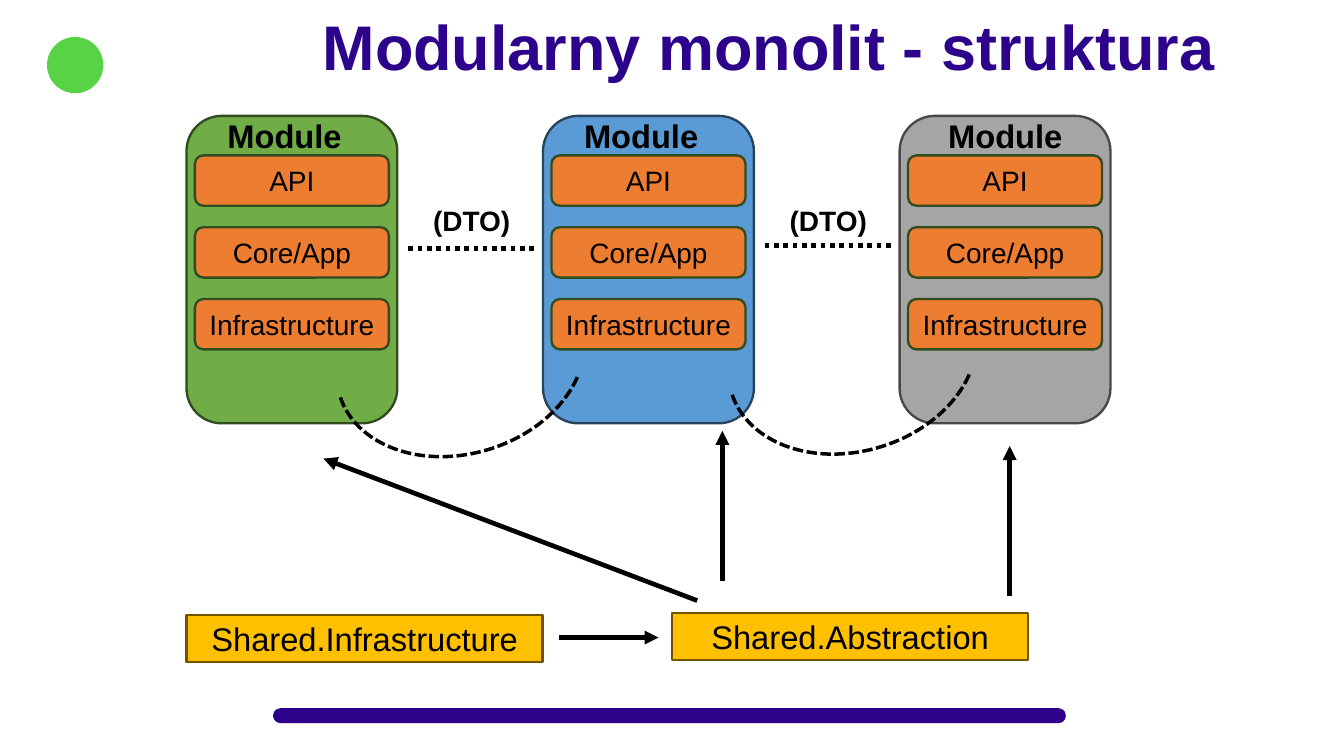
"""Builds a slide on the structure of a modular monolith."""
import pptx
import pptx.util
import pptx.dml.color
import pptx.enum.dml
import pptx.enum.shapes
import pptx.enum.text
import pptx.oxml
import pptx.oxml.ns
import lxml.etree

INKS = {
    "title": "2E038C", "text": "000000", "badge": "58D346",
    "green": "70AD47", "moss": "314C1F",
    "blue": "5B9BD5", "navy": "28445D",
    "gray": "A5A5A5", "slate": "484848",
    "layer": "ED7D31", "gold": "FFC000", "brown": "705400",
}
WIDE, HIGH = pptx.util.Inches(16), pptx.util.Inches(9)
COL, ROW = WIDE / 16, HIGH / 9
FORMS = pptx.enum.shapes.MSO_SHAPE
DASH = pptx.enum.dml.MSO_LINE
ALIGN = pptx.enum.text.PP_ALIGN
ANCHOR = pptx.enum.text.MSO_ANCHOR


def place(box):
    """Turn a box in columns and rows into slide lengths."""
    left, top, wide, high = box
    return [round(n) for n in (left * COL, top * ROW, wide * COL, high * ROW)]


def ink(name):
    """Look up a colour."""
    return pptx.dml.color.RGBColor.from_string(INKS[name])


def write(shape, text, size, align, bold=False, color="text"):
    """Fill a shape with one styled line of text."""
    shape.text_frame.text = text
    line = shape.text_frame.paragraphs[0]
    line.alignment = align
    line.font.name = "Arial"
    line.font.size = pptx.util.Pt(size)
    line.font.bold = bold
    line.font.color.rgb = ink(color)


def stroke(line, color, size, dash=None):
    """Style an outline."""
    line.color.rgb = ink(color)
    line.width = pptx.util.Pt(size)
    if dash:
        line.dash_style = dash


def block(slide, form, box, fill, edge=None):
    """Add a filled shape with an optional outline."""
    shape = slide.shapes.add_shape(form, *place(box))
    shape.shadow.inherit = False
    shape.fill.solid()
    shape.fill.fore_color.rgb = ink(fill)
    if edge:
        stroke(shape.line, edge, 2)
    else:
        shape.line.fill.background()
    return shape


def panel(slide, form, box, fill, edge, text, size):
    """Add a block with a centred caption."""
    shape = block(slide, form, box, fill, edge)
    write(shape, text, size, ALIGN.CENTER)
    frame = shape.text_frame
    frame.margin_left = frame.margin_right = 0
    frame.vertical_anchor = ANCHOR.MIDDLE


def label(slide, box, text, size, align):
    """Add a bold label."""
    shape = slide.shapes.add_textbox(*place(box))
    shape.text_frame.word_wrap = True
    write(shape, text, size, align, True)


def link(slide, start, end, dash=None, arrow=False):
    """Add a straight line, dashed or with an arrow at its end."""
    left, top, right, low = place((*start, *end))
    line = slide.shapes.add_connector(
        pptx.enum.shapes.MSO_CONNECTOR.STRAIGHT, left, top, right, low)
    stroke(line.line, "text", 4, dash)
    if arrow:
        tail = lxml.etree.SubElement(
            line.line._get_or_add_ln(), pptx.oxml.ns.qn("a:tailEnd"))
        tail.set("type", "triangle")
    lxml.etree.SubElement(
        line._element.spPr, pptx.oxml.ns.qn("a:effectLst"))


def frame(slide, box):
    """Add the title, the badge and the footer bar."""
    left, top, wide, high = box
    title = slide.shapes.title
    title.left, title.top, title.width, title.height = place(
        (left + 3.74, top + 0.04, wide - 3.8, 1.01))
    write(title, "Modularny monolit - struktura", 54, ALIGN.LEFT, True, "title")
    title.text_frame.vertical_anchor = ANCHOR.TOP
    title.text_frame.auto_size = pptx.enum.text.MSO_AUTO_SIZE.NONE
    block(slide, FORMS.OVAL, (left + 0.56, top + 0.44, 0.67, 0.67), "badge")
    bar = block(slide, FORMS.ROUNDED_RECTANGLE,
                (left + 3.25, top + high - 0.57, 9.44, 0.18), "title")
    bar.adjustments[0] = 0.5


def module(slide, box, fill, edge, inset):
    """Add a module with its three layers."""
    left, top, wide, high = box
    block(slide, FORMS.ROUNDED_RECTANGLE, box, fill, edge)
    for step, name in enumerate(("API", "Core/App", "Infrastructure")):
        panel(slide, FORMS.ROUNDED_RECTANGLE,
              (left + 0.1, top + 0.47 + step * 0.855, wide - 0.2, 0.6),
              "layer", "moss", name, 24)
    label(slide, (left + inset, top - 0.05, 1.97, 0.57),
          "Module", 28, ALIGN.JUSTIFY)


def bridge(slide, box, drop, curve):
    """Add the contract and the curve between two modules."""
    left, top, wide, high = box
    label(slide, (left, top + 0.99, wide, 0.5), "(DTO)", 24, ALIGN.CENTER)
    link(slide, (left, top + drop), (left + wide, top + drop),
         DASH.ROUND_DOT)
    shift, fall = curve
    arc = slide.shapes.add_shape(
        FORMS.ARC, *place((left + shift, top + fall, 3.01, 2.26)))
    arc.shadow.inherit = False
    arc.adjustments[0], arc.adjustments[1] = 123.45, 0
    arc.rotation = 163.2
    arc.fill.background()
    stroke(arc.line, "text", 3, DASH.SQUARE_DOT)
    kind = arc.line._ln.find(pptx.oxml.ns.qn("a:prstDash"))
    kind.set("val", "sysDash")


def shared(slide, box):
    """Add the shared parts and their arrows to the modules."""
    left, top, wide, high = box
    for shift, drop, name in ((0, 0.02, "Infrastructure"),
                              (wide - 4.24, 0, "Abstraction")):
        panel(slide, FORMS.RECTANGLE, (left + shift, top + drop, 4.24, high),
              "gold", "brown", "Shared." + name, 28)
    for start, end in (((4.44, 0.29), (5.62, 0.29)),
                       ((6.08, -0.15), (1.63, -1.84)),
                       ((6.38, -0.38), (6.38, -2.17)),
                       ((9.8, -0.21), (9.8, -1.99))):
        link(slide, (left + start[0], top + start[1]),
             (left + end[0], top + end[1]), arrow=True)


def main():
    """Build and save the slide."""
    deck = pptx.Presentation()
    deck.slide_width, deck.slide_height = WIDE, HIGH
    slide = deck.slides.add_slide(deck.slide_layouts[5])
    frame(slide, (0, 0, 16, 9))
    left, top, wide, high, pitch = 2.22, 1.38, 2.51, 3.66, 4.245
    looks = (("green", "moss", 0.39), ("blue", "navy", 0.39),
             ("gray", "slate", 0.48))
    for step, look in enumerate(looks):
        module(slide, (left + step * pitch, top, wide, high), *look)
    gaps = ((1.58, (-0.88, 1.76)), (1.54, (-0.46, 1.73)))
    for step, gap in enumerate(gaps):
        bridge(slide, (left + wide + 0.13 + step * pitch, top, 1.51, high),
               *gap)
    shared(slide, (left, 7.3, 10.02, 0.56))
    deck.save("out.pptx")


if __name__ == "__main__":
    main()
